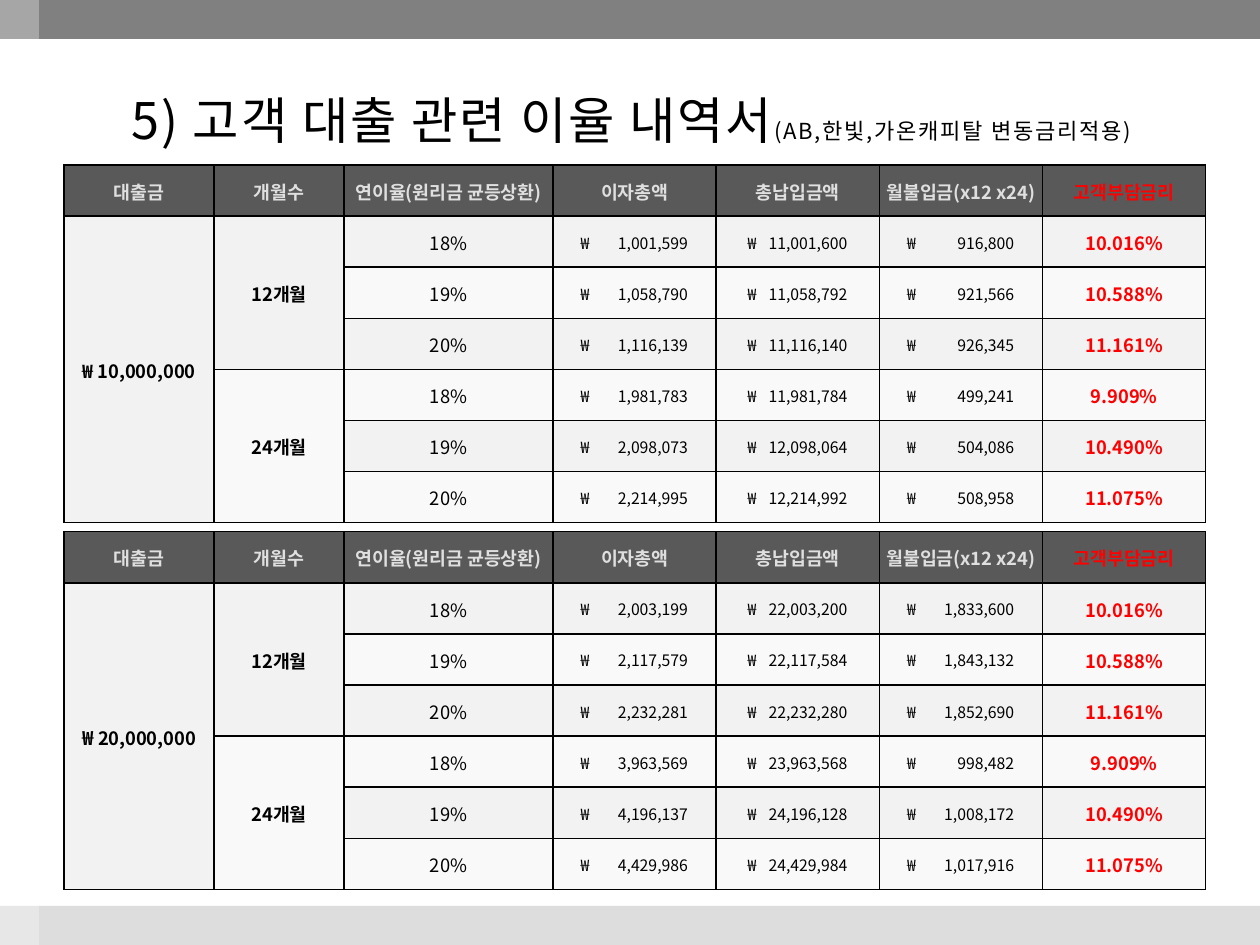
from dataclasses import dataclass

from lxml import etree
from pptx import Presentation
from pptx import util as u
from pptx.dml.color import RGBColor
from pptx.enum import shapes, text
from pptx.oxml import ns

WIDTH, HEIGHT = 10, 7.5
BAND = 0.31
FONT = "Noto Sans CJK KR"
COLORS = {
    "top": "808080", "bottom": "DDDDDD", "veil": "FFFFFF", "head": "595959",
    "head_text": "DFDFDF", "even": "F9F9F9", "odd": "F2F2F2",
    "black": "000000", "red": "FF0000",
}

TABLE_LEFT, TABLE_WIDTH, TABLE_HEIGHT = 0.51, 9.06, 2.84
FIRST_COLUMNS = [1.19, 1.03, 1.66]
MONEY_WIDTH = (TABLE_WIDTH - sum(FIRST_COLUMNS)) / 4
COLUMNS = FIRST_COLUMNS + [MONEY_WIDTH] * 4
HEADINGS = ["대출금", "개월수", "연이율(원리금 균등상환)", "이자총액",
            "총납입금액", "월불입금(x12 x24)", "고객부담금리"]
TERMS = ["12개월", "24개월"]
YEAR_RATES = ["18%", "19%", "20%"]
CUSTOMER_RATES = ["10.016%", "10.588%", "11.161%", "9.909%", "10.490%", "11.075%"]
ROWS = 1 + len(CUSTOMER_RATES)
# Won sign offset and right edge of the amount, inside each money column
MONEY_EDGES = [(0.22, 1.07), (0.25, 1.04), (0.22, 1.07)]


@dataclass
class Piece:
    words: str
    size: float = 10.5
    color: str = "black"
    bold: bool = False
    spacing: int = 0


@dataclass
class Loan:
    top: float
    amount: list[Piece]
    payments: list[tuple[str, str, str]]  # interest, total, monthly


LOANS = [
    Loan(1.31, [Piece("₩ 10,000,000", bold=True)], [
        ("1,001,599", "11,001,600", "916,800"),
        ("1,058,790", "11,058,792", "921,566"),
        ("1,116,139", "11,116,140", "926,345"),
        ("1,981,783", "11,981,784", "499,241"),
        ("2,098,073", "12,098,064", "504,086"),
        ("2,214,995", "12,214,992", "508,958"),
    ]),
    Loan(4.22, [Piece("₩ ", 11, bold=True), Piece("20,000,000", bold=True)], [
        ("2,003,199", "22,003,200", "1,833,600"),
        ("2,117,579", "22,117,584", "1,843,132"),
        ("2,232,281", "22,232,280", "1,852,690"),
        ("3,963,569", "23,963,568", "998,482"),
        ("4,196,137", "24,196,128", "1,008,172"),
        ("4,429,986", "24,429,984", "1,017,916"),
    ]),
]


def rgb(name: str) -> RGBColor:
    return RGBColor.from_string(COLORS[name])


def add_runs(paragraph, pieces: list[Piece]) -> None:
    for piece in pieces:
        run = paragraph.add_run()
        run.text = piece.words
        font = run.font
        font.name, font.size, font.bold = FONT, u.Pt(piece.size), piece.bold
        font.color.rgb = rgb(piece.color)
        properties = run._r.get_or_add_rPr()
        etree.SubElement(properties, ns.qn("a:ea"), typeface=FONT)
        if piece.spacing:
            properties.set("spc", str(piece.spacing * 100))


def add_band(slide, left: float, top: float, width: float, height: float,
             color: str, opacity: int = 100) -> None:
    band = slide.shapes.add_shape(shapes.MSO_SHAPE.RECTANGLE,
                                  *map(u.Inches, (left, top, width, height)))
    band.shadow.inherit = False
    band.line.fill.background()
    band.fill.solid()
    band.fill.fore_color.rgb = rgb(color)
    if opacity < 100:
        tint = band._element.spPr.find(".//" + ns.qn("a:srgbClr"))
        etree.SubElement(tint, ns.qn("a:alpha"), val=str(opacity * 1000))


def style_cell(cell, fill: str) -> None:
    cell.margin_left = cell.margin_right = cell.margin_top = u.Inches(0.01)
    cell.margin_bottom = 0
    cell.vertical_anchor = text.MSO_ANCHOR.MIDDLE
    properties = cell._tc.get_or_add_tcPr()
    for side in ("lnL", "lnR", "lnT", "lnB"):
        line = etree.SubElement(properties, ns.qn("a:" + side), w=str(u.Pt(1)))
        solid = etree.SubElement(line, ns.qn("a:solidFill"))
        etree.SubElement(solid, ns.qn("a:srgbClr"), val=COLORS["black"])
    cell.fill.solid()
    cell.fill.fore_color.rgb = rgb(fill)


def write_centred(cell, *pieces: Piece) -> None:
    paragraph = cell.text_frame.paragraphs[0]
    paragraph.alignment = text.PP_ALIGN.CENTER
    add_runs(paragraph, list(pieces))


def write_money(cell, amount: str, sign_left: float, amount_right: float) -> None:
    """Put the won sign at the left and the amount against a right tab."""
    cell.margin_left = u.Inches(sign_left)
    paragraph = cell.text_frame.paragraphs[0]
    paragraph.alignment = text.PP_ALIGN.LEFT
    tabs = etree.SubElement(paragraph._p.get_or_add_pPr(), ns.qn("a:tabLst"))
    etree.SubElement(tabs, ns.qn("a:tab"), algn="r",
                     pos=str(u.Inches(amount_right - sign_left)))
    add_runs(paragraph, [Piece("₩\t" + amount, 9)])


def add_loan_table(slide, loan: Loan) -> None:
    table = slide.shapes.add_table(
        ROWS, len(COLUMNS),
        *map(u.Inches, (TABLE_LEFT, loan.top, TABLE_WIDTH, TABLE_HEIGHT))).table
    for column, width in zip(table.columns, COLUMNS):
        column.width = u.Inches(width)
    for index, row in enumerate(table.rows):
        row.height = u.Inches(TABLE_HEIGHT / ROWS)
        fill = "head" if index == 0 else "odd" if index % 2 else "even"
        for cell in row.cells:
            style_cell(cell, fill)

    for column, heading in enumerate(HEADINGS):
        color = "red" if column == len(HEADINGS) - 1 else "head_text"
        write_centred(table.cell(0, column), Piece(heading, color=color, bold=True))

    table.cell(1, 0).merge(table.cell(ROWS - 1, 0))
    write_centred(table.cell(1, 0), *loan.amount)
    span = len(YEAR_RATES)
    for index, term in enumerate(TERMS):
        first = 1 + index * span
        table.cell(first, 1).merge(table.cell(first + span - 1, 1))
        write_centred(table.cell(first, 1), Piece(term, bold=True))

    for index, payment in enumerate(loan.payments):
        row = index + 1
        write_centred(table.cell(row, 2), Piece(YEAR_RATES[index % span]))
        for column, (amount, edges) in enumerate(zip(payment, MONEY_EDGES), 3):
            write_money(table.cell(row, column), amount, *edges)
        write_centred(table.cell(row, 6),
                      Piece(CUSTOMER_RATES[index], color="red", bold=True))


def add_title(slide) -> None:
    title = slide.shapes.add_textbox(*map(u.Inches, (0.33, BAND, 9.36, 1.03)))
    frame = title.text_frame
    frame.word_wrap = True
    frame.vertical_anchor = text.MSO_ANCHOR.MIDDLE
    paragraph = frame.paragraphs[0]
    paragraph.alignment = text.PP_ALIGN.CENTER
    paragraph.line_spacing = 1.5
    add_runs(paragraph, [
        Piece("5) 고객 대출 관련 이율 내역서", 28.8, spacing=1),
        Piece("(AB,한빛,가온캐피탈 변동금리적용)", 12.6, spacing=1),
    ])


def main() -> None:
    deck = Presentation()
    deck.slide_width, deck.slide_height = u.Inches(WIDTH), u.Inches(HEIGHT)
    slide = deck.slides.add_slide(deck.slide_layouts[6])
    add_band(slide, 0, HEIGHT - BAND, WIDTH, BAND, "bottom")
    add_band(slide, 0, 0, WIDTH, BAND, "top")
    add_band(slide, 0, 0, BAND, HEIGHT, "veil", opacity=30)
    add_title(slide)
    for loan in LOANS:
        add_loan_table(slide, loan)
    deck.save("out.pptx")


if __name__ == "__main__":
    main()
